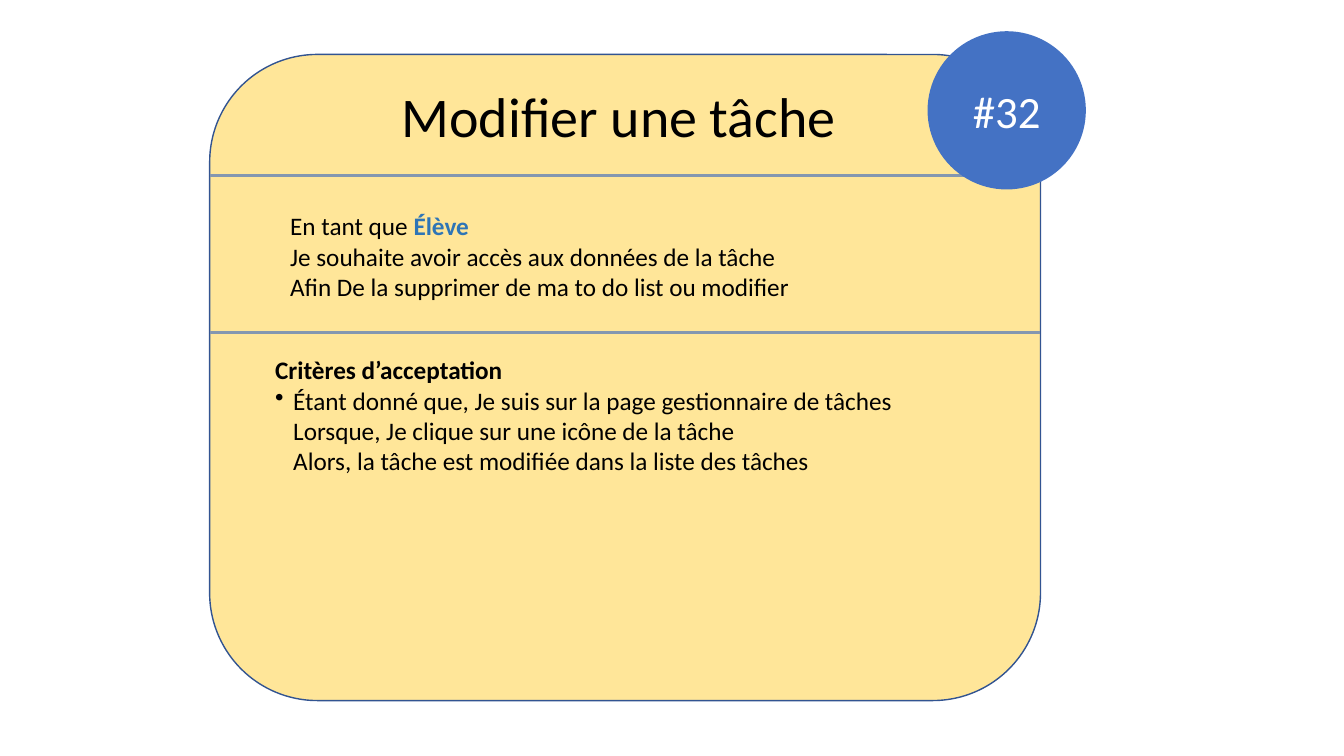
from dataclasses import dataclass

from lxml.etree import SubElement
from pptx import Presentation
from pptx.dml.color import RGBColor
from pptx.enum.shapes import MSO_CONNECTOR, MSO_SHAPE
from pptx.enum.text import MSO_ANCHOR, MSO_AUTO_SIZE, PP_ALIGN
from pptx.oxml.ns import qn
from pptx.util import Inches, Pt

FONT = "Calibri"
BLACK, WHITE, CREAM = "000000", "FFFFFF", "FFE699"
NAVY, SLATE, ROLE_BLUE, BADGE_BLUE = "325491", "8497B0", "2E75B6", "4472C4"
CARD_LEFT, CARD_WIDTH = 2.08, 8.24
BULLET_INDENT = 0.18


@dataclass
class Line:
    text: str
    bold: bool = False
    highlight: str = ""
    indent: float = 0
    bullet: str = ""


@dataclass
class Section:
    left: float
    top: float
    width: float
    height: float
    lines: list[Line]
    size: float = 18
    align: PP_ALIGN = PP_ALIGN.LEFT


SECTIONS = [
    Section(2.78, 0.76, 6.71, 0.77, [Line("Modifier une tâche")], 40, PP_ALIGN.CENTER),
    Section(2.78, 2.04, 6.87, 1.01, [
        Line("En tant que ", highlight="Élève"),
        Line("Je souhaite avoir accès aux données de la tâche"),
        Line("Afin De la supprimer de ma to do list ou modifier"),
    ]),
    Section(2.63, 3.47, 7.01, 1.31, [
        Line("Critères d’acceptation", bold=True),
        Line("Étant donné que, Je suis sur la page gestionnaire de tâches",
             indent=BULLET_INDENT, bullet="•"),
        Line("Lorsque, Je clique sur une icône de la tâche", indent=BULLET_INDENT),
        Line("Alors, la tâche est modifiée dans la liste des tâches", indent=BULLET_INDENT),
    ]),
]
DIVIDER_TOPS = [1.74, 3.3]


def rgb(color: str) -> RGBColor:
    return RGBColor.from_string(color)


def style_font(font, size: float, color: str, bold: bool = False) -> None:
    font.name, font.size, font.bold = FONT, Pt(size), bold
    font.color.rgb = rgb(color)


def add_panel(slide, kind: MSO_SHAPE, left: float, top: float,
              width: float, height: float, fill: str):
    panel = slide.shapes.add_shape(
        kind, Inches(left), Inches(top), Inches(width), Inches(height))
    panel.shadow.inherit = False
    panel.fill.solid()
    panel.fill.fore_color.rgb = rgb(fill)
    panel.line.fill.background()
    return panel


def add_divider(slide, top: float) -> None:
    divider = slide.shapes.add_connector(
        MSO_CONNECTOR.STRAIGHT, Inches(CARD_LEFT), Inches(top),
        Inches(CARD_LEFT + CARD_WIDTH), Inches(top))
    divider.line.color.rgb = rgb(SLATE)
    divider.line.width = Pt(2.25)
    SubElement(divider._element.spPr, qn("a:effectLst"))


def indent_paragraph(paragraph, line: Line) -> None:
    properties = paragraph._p.get_or_add_pPr()
    properties.set("marL", str(Inches(line.indent)))
    properties.set("indent", str(-Inches(line.indent) if line.bullet else 0))
    if line.bullet:
        SubElement(properties, qn("a:buChar")).set("char", line.bullet)
    else:
        SubElement(properties, qn("a:buNone"))


def add_section(slide, section: Section) -> None:
    box = slide.shapes.add_textbox(
        Inches(section.left), Inches(section.top),
        Inches(section.width), Inches(section.height))
    frame = box.text_frame
    frame.word_wrap = True
    frame.auto_size = MSO_AUTO_SIZE.SHAPE_TO_FIT_TEXT
    frame.text = "\n".join(line.text for line in section.lines)
    for paragraph, line in zip(frame.paragraphs, section.lines):
        paragraph.alignment = section.align
        if line.indent:
            indent_paragraph(paragraph, line)
        style_font(paragraph.runs[0].font, section.size, BLACK, line.bold)
        if line.highlight:
            role = paragraph.add_run()
            role.text = line.highlight
            style_font(role.font, section.size, ROLE_BLUE, True)


def add_badge(slide, label: str) -> None:
    badge = add_panel(slide, MSO_SHAPE.OVAL, 9.2, 0.31, 1.57, 1.57, BADGE_BLUE)
    frame = badge.text_frame
    frame.text = label
    frame.vertical_anchor = MSO_ANCHOR.MIDDLE
    frame.paragraphs[0].alignment = PP_ALIGN.CENTER
    style_font(frame.paragraphs[0].runs[0].font, 32, WHITE)


def main() -> None:
    deck = Presentation()
    deck.slide_width, deck.slide_height = Inches(13.33), Inches(7.5)
    slide = deck.slides.add_slide(deck.slide_layouts[6])

    # Story card
    card = add_panel(slide, MSO_SHAPE.ROUNDED_RECTANGLE,
                     CARD_LEFT, 0.54, CARD_WIDTH, 6.41, CREAM)
    card.line.color.rgb = rgb(NAVY)
    card.line.width = Pt(1)

    # Dividers between title, story and criteria
    for top in DIVIDER_TOPS:
        add_divider(slide, top)

    # Card text
    for section in SECTIONS:
        add_section(slide, section)

    # Story number
    add_badge(slide, "#32")

    deck.save("out.pptx")


if __name__ == "__main__":
    main()
